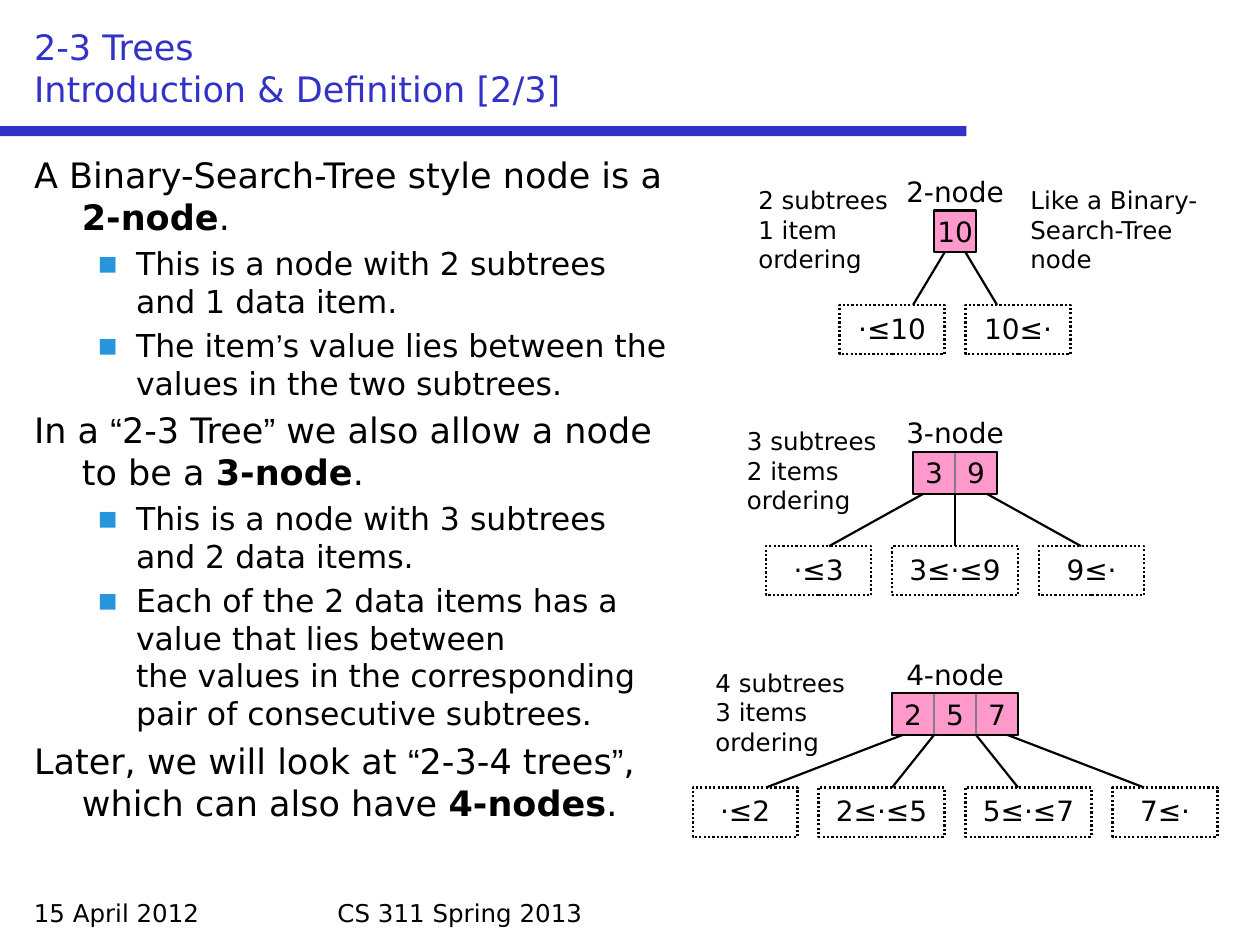
from itertools import groupby

from lxml import etree
from pptx import Presentation
from pptx.dml.color import RGBColor
from pptx.enum import dml, shapes, text
from pptx.oxml import ns
from pptx.util import Inches, Pt

BLUE = RGBColor(0x32, 0x32, 0xC8)
BULLET_BLUE = RGBColor(0x28, 0x96, 0xDC)
PINK = RGBColor(0xFF, 0x99, 0xCC)
GREY = RGBColor(0x80, 0x80, 0x80)
BLACK = RGBColor(0, 0, 0)
FONT, QUOTE_FONT = "DejaVu Sans", "Arial"

CELL = 1 / 3        # side of one data item
GAP = 1 / 6         # between subtrees
CENTER = 7.58       # shared axis of the three trees
FIRST_TOP, TREE_STEP = 1.67, 1.915

BODY = [
    (0, "A Binary-Search-Tree style node is a **2-node**."),
    (1, "This is a node with 2 subtrees and 1 data item."),
    (1, "The item’s value lies between the values in the two subtrees."),
    (0, "In a “2-3 Tree” we also allow a node to be a **3-node**."),
    (1, "This is a node with 3 subtrees and 2 data items."),
    (1, "Each of the 2 data items has a value that lies between\n"
        "the values in the corresponding pair of consecutive subtrees."),
    (0, "Later, we will look at “2-3-4 trees”, which can also have **4-nodes**."),
]

# items, subtree ranges, distance between line ends, left of the note, note
TREES = [
    (["10"], ["·≤10", "10≤·"], 2 / 3, 5.92, "2 subtrees\n1 item\nordering"),
    (["3", "9"], ["·≤3", "3≤·≤9", "9≤·"], 1, 5.83,
     "3 subtrees\n2 items\nordering"),
    (["2", "5", "7"], ["·≤2", "2≤·≤5", "5≤·≤7", "7≤·"], 1, 5.58,
     "4 subtrees\n3 items\nordering"),
]


def inches(*lengths):
    return [Inches(length) for length in lengths]


def write(paragraph, words, size=16, color=BLACK, align=text.PP_ALIGN.LEFT):
    """Fill a paragraph; ** toggles bold, a newline breaks the line."""
    paragraph.alignment = align
    for index, part in enumerate(words.split("**")):
        for kind, chars in groupby(part, lambda c: c if c == "\n" else c in "“”’"):
            if kind == "\n":
                line_break = paragraph._p.add_br()
                etree.SubElement(line_break, ns.qn("a:rPr"), sz=str(size * 100))
                continue
            run = paragraph.add_run()
            run.text = "".join(chars)
            run.font.name = QUOTE_FONT if kind else FONT
            run.font.size = Pt(size)
            run.font.bold = index % 2 == 1
            run.font.color.rgb = color


def add_label(slide, box, words, **style):
    frame = slide.shapes.add_textbox(*inches(*box)).text_frame
    frame.word_wrap = True
    write(frame.paragraphs[0], words, **style)


def add_box(slide, box, words="", fill=None, line=BLACK, width=1.25,
            dash=None, wrap=True, anchor=text.MSO_ANCHOR.TOP):
    rect = slide.shapes.add_shape(shapes.MSO_SHAPE.RECTANGLE, *inches(*box))
    rect.shadow.inherit = False
    if fill is None:
        rect.fill.background()
    else:
        rect.fill.solid()
        rect.fill.fore_color.rgb = fill
    if line is None:
        rect.line.fill.background()
    else:
        rect.line.color.rgb = line
        rect.line.width = Pt(width)
        rect.line.dash_style = dash
    if words:
        rect.text_frame.word_wrap = wrap
        rect.text_frame.vertical_anchor = anchor
        write(rect.text_frame.paragraphs[0], words, align=text.PP_ALIGN.CENTER)
    return rect


def add_branch(slide, start, end):
    branch = slide.shapes.add_connector(
        shapes.MSO_CONNECTOR.STRAIGHT, *inches(*start, *end))
    branch.line.color.rgb = BLACK
    branch.line.width = Pt(1.25)
    etree.SubElement(branch._element.spPr, ns.qn("a:effectLst"))
    return branch


def place(placeholder, box, anchor):
    (placeholder.left, placeholder.top,
     placeholder.width, placeholder.height) = inches(*box)
    frame = placeholder.text_frame
    frame.word_wrap = True
    frame.auto_size = text.MSO_AUTO_SIZE.NONE
    frame.vertical_anchor = anchor
    return frame


def set_bullet(paragraph, level):
    paragraph.level = level
    margin, indent = [(0.38, -0.38), (0.81, -0.31)][level]
    props = paragraph._p.get_or_add_pPr()
    props.set("marL", str(Inches(margin)))
    props.set("indent", str(Inches(indent)))
    if level == 0:
        etree.SubElement(props, ns.qn("a:buNone"))
        return
    color = etree.SubElement(props, ns.qn("a:buClr"))
    etree.SubElement(color, ns.qn("a:srgbClr"), val=str(BULLET_BLUE))
    etree.SubElement(props, ns.qn("a:buFont"), typeface=FONT)
    etree.SubElement(props, ns.qn("a:buChar"), char="▪")


def fill_title(slide, box):
    frame = place(slide.shapes.title, box, text.MSO_ANCHOR.BOTTOM)
    write(frame.paragraphs[0], "2-3 Trees\nIntroduction & Definition [2/3]",
          size=20, color=BLUE)


def fill_body(slide, box):
    frame = place(slide.placeholders[1], box, text.MSO_ANCHOR.TOP)
    for index, (level, words) in enumerate(BODY):
        paragraph = frame.add_paragraph() if index else frame.paragraphs[0]
        size = 18 if level else 20
        set_bullet(paragraph, level)
        paragraph.space_before = Pt(0.2 * size if index else 0)
        write(paragraph, words, size=size)


def add_tree(slide, center, top, items, ranges, pitch):
    count = len(items)
    left, width = center - count * CELL / 2, count * CELL
    bottom, subtree_top = top + CELL, top + 0.75

    # Name and data items, with a frame around several items
    add_label(slide, (center - 0.5, top - CELL, 1, 0.37), f"{count + 1}-node",
              align=text.PP_ALIGN.CENTER)
    single = count == 1
    for index, item in enumerate(items):
        node = add_box(slide, (left + index * CELL, top, CELL, CELL), item,
                       fill=PINK, line=BLACK if single else GREY,
                       width=1.25 if single else 0.75, wrap=False,
                       anchor=text.MSO_ANCHOR.MIDDLE)
    if not single:
        node = add_box(slide, (left, top, width, CELL))

    # Subtrees, the inner ones wider, each with its branch
    widths = [5 / 6] + [1] * (count - 1) + [5 / 6]
    x = center - (sum(widths) + GAP * count) / 2
    for index, (words, subtree_width) in enumerate(zip(ranges, widths)):
        subtree = add_box(slide, (x, subtree_top, subtree_width, 0.39), words,
                          dash=dml.MSO_LINE.ROUND_DOT)
        x += subtree_width + GAP
        start = min(max(left + index * CELL, left + CELL / 4),
                    left + width - CELL / 4)
        if index * 2 == count:
            start = center
        end = center + (index - count / 2) * pitch
        branch = add_branch(slide, (start, bottom), (end, subtree_top))
        if index * 2 == count:
            branch.begin_connect(node, 2)
            branch.end_connect(subtree, 0)


def add_trees(slide):
    for row, (items, ranges, pitch, note_left, note) in enumerate(TREES):
        top = FIRST_TOP + row * TREE_STEP
        add_tree(slide, CENTER, top, items, ranges, pitch)
        add_label(slide, (note_left, top - 0.25, 1.25, 0.81), note, size=14)
    add_label(slide, (8.08, FIRST_TOP - 0.25, 1.83, 0.81),
              "Like a Binary-Search-Tree node", size=14)


def add_footer(slide, top):
    add_label(slide, (0.17, top, 2.33, 0.33), "15 April 2012", size=14)
    add_label(slide, (2.58, top, 4.83, 0.33), "CS 311 Spring 2013", size=14)


def main():
    deck = Presentation()
    deck.slide_width, deck.slide_height = inches(10, 7.5)
    slide = deck.slides.add_slide(deck.slide_layouts[1])
    add_box(slide, (0, 1, 7.67, 0.08), fill=BLUE, line=None)  # title rule
    fill_title(slide, (0.17, 0.17, 9.67, 0.75))
    fill_body(slide, (0.17, 1.17, 5.25, 5.83))
    add_trees(slide)
    add_footer(slide, 7.08)
    deck.save("out.pptx")


if __name__ == "__main__":
    main()
